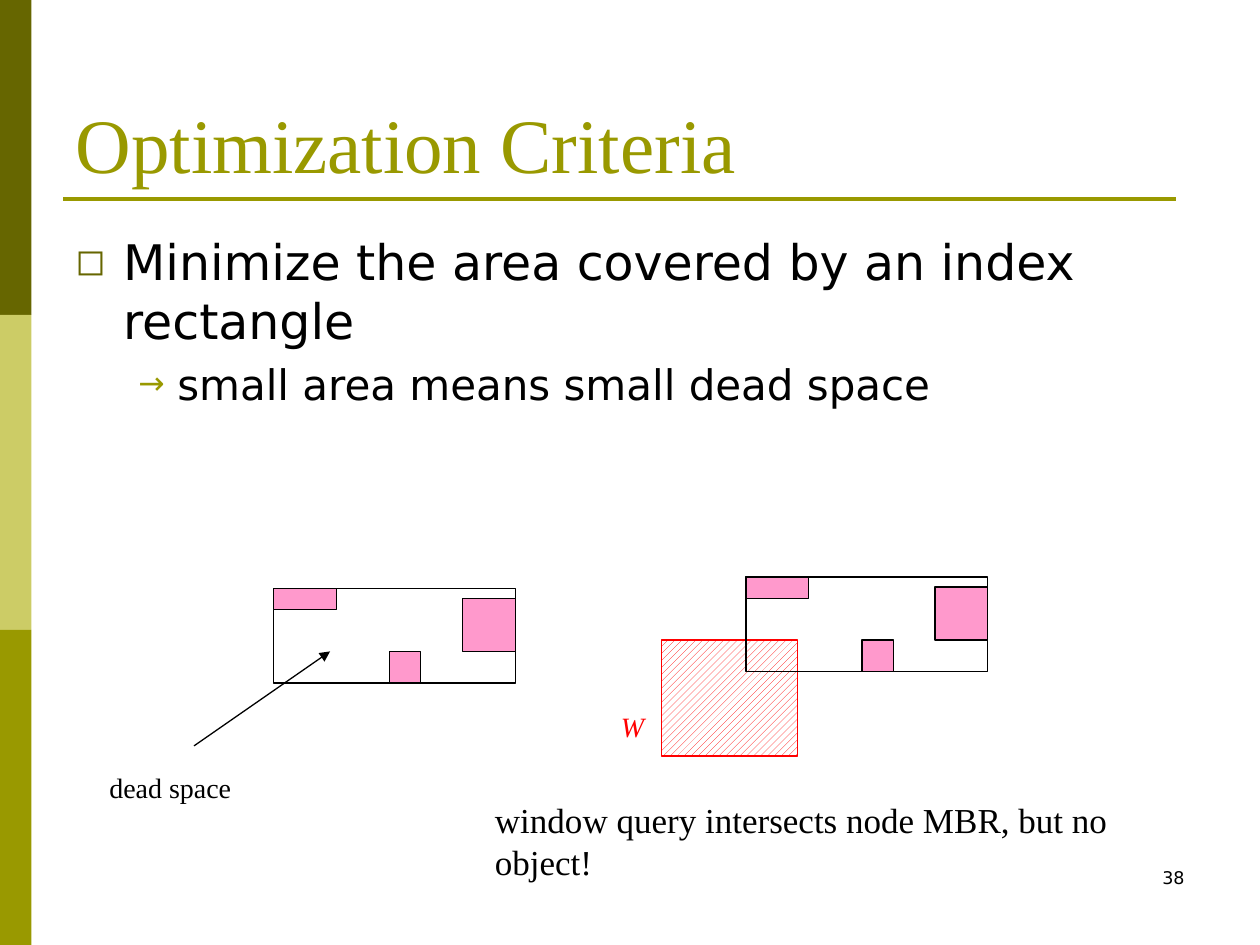
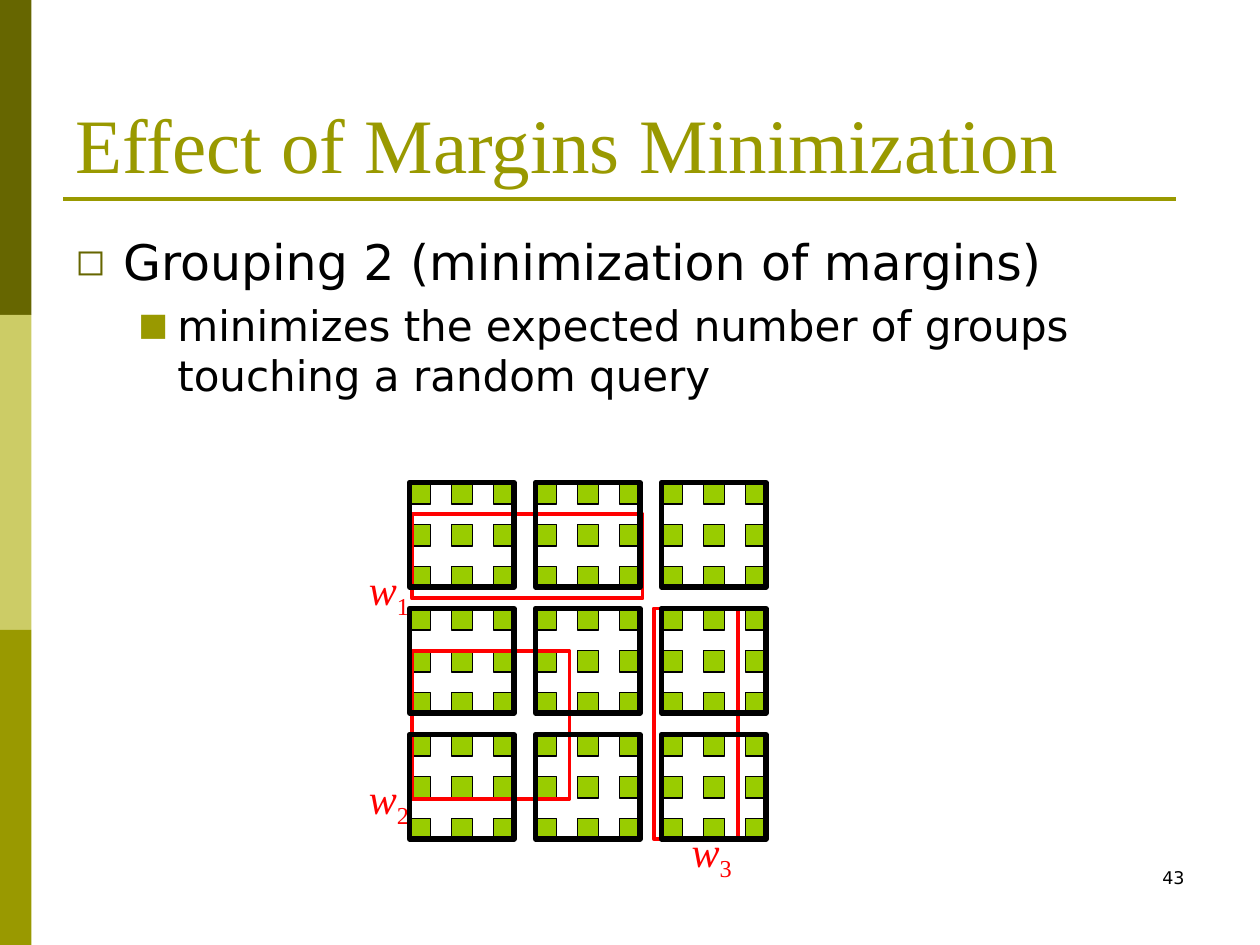
import pptx
import pptx.dml.color
import pptx.enum.dml
import pptx.enum.shapes
import pptx.enum.text
import pptx.oxml
import pptx.oxml.ns
import pptx.util
from pptx.util import Inches

COLORS = {
    "dark olive": "666600", "pale olive": "CCCC66", "olive": "999900",
    "black": "000000", "white": "FFFFFF", "red": "FF0000",
    "pink": "FF99CC", "green": "99CC00",
}
RGB = {name: pptx.dml.color.RGBColor.from_string(value) for name, value in COLORS.items()}
SERIF, SANS = "Times New Roman", "DejaVu Sans"
ALIGN = pptx.enum.text.PP_ALIGN


def write(para, text, size=24, color="black", font=SERIF, italic=False, baseline=0):
    span = para.add_run()
    span.text = text
    span.font.size = pptx.util.Pt(size)
    span.font.name = font
    span.font.italic = italic
    span.font.color.rgb = RGB[color]
    if baseline:
        span.font._element.set("baseline", str(baseline * 1000))


def draw_box(page, left, top, width, height, fill=None, line="black", weight=0.75):
    box = page.shapes.add_shape(pptx.enum.shapes.MSO_SHAPE.RECTANGLE,
                                Inches(left), Inches(top), Inches(width), Inches(height))
    box.shadow.inherit = False
    if fill:
        box.fill.solid()
        box.fill.fore_color.rgb = RGB[fill]
    else:
        box.fill.background()
    if line:
        box.line.color.rgb = RGB[line]
        box.line.width = pptx.util.Pt(weight)
    else:
        box.line.fill.background()
    return box


deck = pptx.Presentation()
deck.slide_width, deck.slide_height = Inches(10), Inches(7.5)
layout = deck.slide_layouts[5]
for holder in list(layout.placeholders)[1:]:
    holder.element.getparent().remove(holder.element)

# Titles and bulleted text
contents = [
    ("Optimization Criteria", "Minimize the area covered by an index rectangle",
     "→", "small area means small dead space"),
    ("Effect of Margins Minimization", "Grouping 2 (minimization of margins)",
     "■", "minimizes the expected number of groups touching a random query"),
]
pages = []
for heading, point, mark, detail in contents:
    page = deck.slides.add_slide(layout)
    pages.append(page)
    title = page.shapes.title
    title.left, title.top, title.width, title.height = map(Inches, (0.5, 0.3, 9, 1.25))
    title.text_frame.vertical_anchor = pptx.enum.text.MSO_ANCHOR.BOTTOM
    title.text_frame.paragraphs[0].alignment = ALIGN.LEFT
    write(title.text_frame.paragraphs[0], heading, size=44, color="olive")

    frame = page.shapes.add_textbox(Inches(0.5), Inches(1.75), Inches(9), Inches(5.33)).text_frame
    frame.word_wrap = True
    frame.margin_top = Inches(0.09)
    bullets = [(point, 28, "◻", "dark olive", 0.38, 0.38), (detail, 24, mark, "olive", 0.81, 0.31)]
    for level, (text, size, symbol, color, indent, hanging) in enumerate(bullets):
        para = frame.add_paragraph() if level else frame.paragraphs[0]
        para.level = level
        if level:
            para.space_before = pptx.util.Pt(5)
        settings = para._p.get_or_add_pPr()
        settings.set("marL", str(Inches(indent)))
        settings.set("indent", str(-Inches(hanging)))
        namespace = pptx.oxml.ns.nsdecls("a")
        for xml in (f'<a:buClr {namespace}><a:srgbClr val="{COLORS[color]}"/></a:buClr>',
                    f'<a:buSzPct {namespace} val="75000"/>',
                    f'<a:buFont {namespace} typeface="{SANS}"/>',
                    f'<a:buChar {namespace} char="{symbol}"/>'):
            settings.append(pptx.oxml.parse_xml(xml))
        write(para, text, size=size, font=SANS)
criteria, margins = pages

# Side bands and title rule, shared through the layout
shared = [draw_box(criteria, 0, 2.5 * row, 0.25, 2.5, fill=color, line=None)
          for row, color in enumerate(("dark olive", "pale olive", "olive"))]
rule, arrow = [
    criteria.shapes.add_connector(pptx.enum.shapes.MSO_CONNECTOR.STRAIGHT, *map(Inches, ends))
    for ends in ((0.5, 1.58, 9.33, 1.58), (1.54, 5.92, 2.62, 5.17))]
for connector, color, weight in ((rule, "olive", 2.25), (arrow, "black", 0.75)):
    connector.line.color.rgb = RGB[color]
    connector.line.width = pptx.util.Pt(weight)
    connector.element.spPr.append(
        pptx.oxml.parse_xml(f'<a:effectLst {pptx.oxml.ns.nsdecls("a")}/>'))
arrow.line._get_or_add_ln().append(
    pptx.oxml.parse_xml(f'<a:tailEnd {pptx.oxml.ns.nsdecls("a")} type="triangle"/>'))
for shape in shared + [rule]:
    layout.shapes.element.append(shape.element)

# Query window and the two index nodes
window = draw_box(criteria, 5.25, 5.08, 1.08, 0.92, line="red")
window.fill.patterned()
window.fill.pattern = pptx.enum.dml.MSO_PATTERN.WIDE_UPWARD_DIAGONAL
window.fill.fore_color.rgb = RGB["red"]
window.fill.back_color.rgb = RGB["white"]
for left, top in ((5.92, 4.58), (2.17, 4.67)):
    draw_box(criteria, left, top, 1.92, 0.75)
    for across, down, width, height in ((0.92, 0.5, 0.25, 0.25), (1.5, 0.08, 0.42, 0.42),
                                        (0, 0, 0.5, 0.17)):
        draw_box(criteria, left + across, top + down, width, height, fill="pink")

# Grid of objects and the query outlines
for column in range(9):
    for row in range(9):
        draw_box(margins, 3.25 + column / 3, 3.83 + row / 3, 0.17, 0.17, fill="green")
for outline in ((3.27, 4.08, 1.83, 0.67), (3.27, 5.17, 1.25, 1.17), (5.19, 4.83, 0.67, 1.83)):
    draw_box(margins, *outline, line="red", weight=2.25)

# Labels and page numbers
labels = [
    (criteria, (0.77, 6.07, 1.17, 0.37), "dead space", "", dict(size=16)),
    (criteria, (4.83, 5.58, 0.39, 0.37), "W", "", dict(size=16, color="red", italic=True)),
    (criteria, (3.83, 6.29, 5.6, 0.77), "window query intersects node MBR, but no object!", "",
     dict(size=20)),
]
for number, (left, top) in enumerate(((2.83, 4.42), (2.83, 6.08), (5.39, 6.5)), start=1):
    labels.append((margins, (left, top, 0.53, 0.5), "w", str(number),
                   dict(color="red", italic=True)))
for page, number in zip(pages, ("38", "43")):
    labels.append((page, (7.17, 6.83, 2.33, 0.5), number, "", dict(size=10, font=SANS)))
for page, place, text, subscript, style in labels:
    frame = page.shapes.add_textbox(*map(Inches, place)).text_frame
    frame.word_wrap = place[2] > 2
    para = frame.paragraphs[0]
    para.alignment = ALIGN.RIGHT if text.isdigit() else ALIGN.LEFT
    write(para, text, **style)
    if subscript:
        write(para, subscript, color="red", baseline=-25)

# Frames around the groups of nine
for row in range(3):
    for column in range(3):
        draw_box(margins, 3.25 + column, 3.83 + row, 0.83, 0.83, weight=3)

deck.save("out.pptx")
